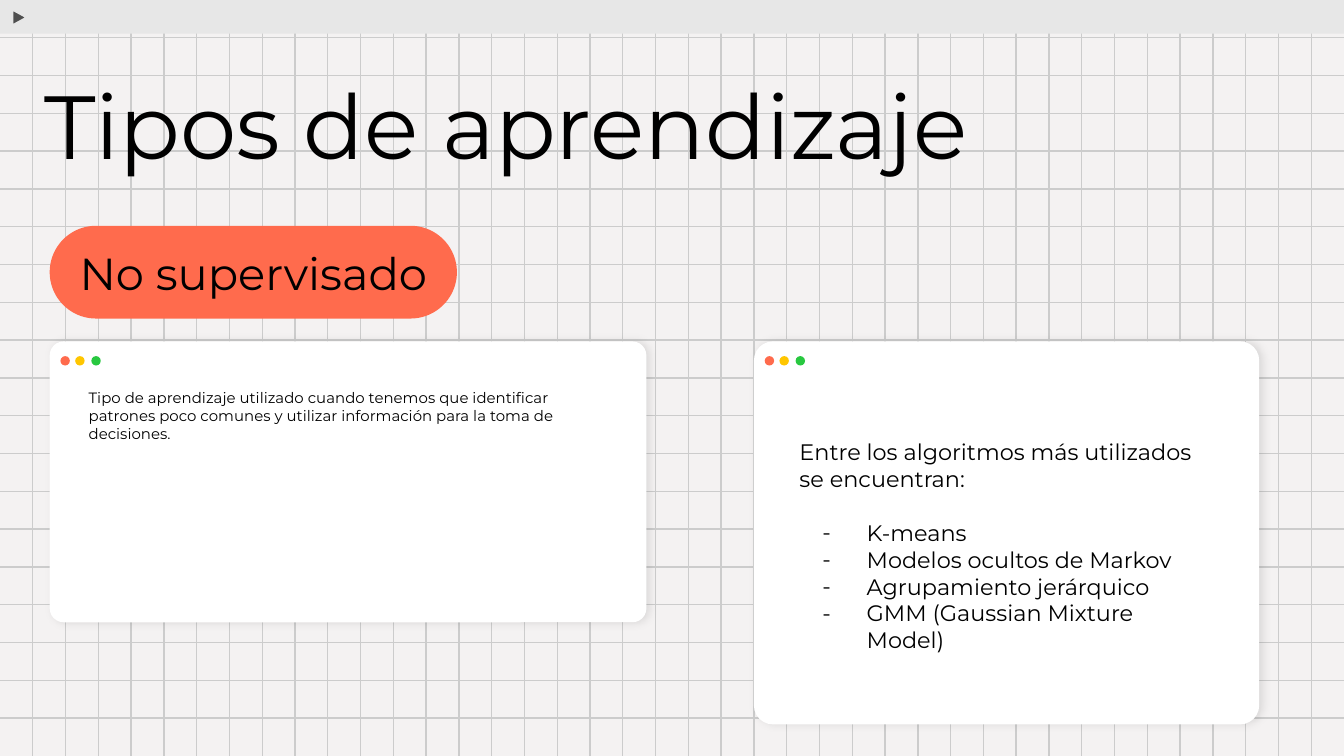
from lxml.etree import SubElement
from pptx import Presentation
from pptx.dml.color import RGBColor
from pptx.enum.shapes import MSO_CONNECTOR, MSO_SHAPE
from pptx.enum.text import MSO_ANCHOR, MSO_AUTO_SIZE, PP_ALIGN
from pptx.oxml import parse_xml
from pptx.oxml.ns import nsdecls, qn
from pptx.util import Inches, Pt

PAPER = RGBColor(0xF4, 0xF2, 0xF2)
GRID = RGBColor(0xCC, 0xCC, 0xCC)
BAR = RGBColor(0xE7, 0xE7, 0xE7)
ARROW = RGBColor(0x4F, 0x4F, 0x4F)
WHITE = RGBColor(0xFF, 0xFF, 0xFF)
BLACK = RGBColor(0x00, 0x00, 0x00)
CORAL = RGBColor(0xFF, 0x6B, 0x4D)
YELLOW = RGBColor(0xFF, 0xC6, 0x00)
GREEN = RGBColor(0x28, 0xC8, 0x40)
FONT = "Montserrat"
WIDTH = 10
HEIGHT = WIDTH * 9 / 16
COLUMNS, ROWS = 41, 20
SOFT_SHADOW = (
    f'<a:effectLst {nsdecls("a")}><a:outerShdw blurRad="57150" dist="19050" dir="0" '
    'algn="bl" rotWithShape="0"><a:srgbClr val="000000"><a:alpha val="10000"/>'
    '</a:srgbClr></a:outerShdw></a:effectLst>'
)

prs = Presentation()
prs.slide_width, prs.slide_height = Inches(WIDTH), Inches(HEIGHT)
slide = prs.slides.add_slide(prs.slide_layouts[0])
slide.background.fill.solid()
slide.background.fill.fore_color.rgb = PAPER
shapes = slide.shapes


def add_filled(kind, left, top, width, height, color):
    shape = shapes.add_shape(kind, Inches(left), Inches(top), Inches(width), Inches(height))
    shape.shadow.inherit = False
    shape.fill.solid()
    shape.fill.fore_color.rgb = color
    shape.line.fill.background()
    return shape


def write(paragraph, text, size, align=PP_ALIGN.LEFT):
    paragraph.alignment = align
    paragraph.space_before = Pt(0)
    run = paragraph.add_run()
    run.text = text
    run.font.name = FONT
    run.font.size = Pt(size)
    run.font.color.rgb = BLACK


rows = [(0, HEIGHT * i / ROWS, WIDTH, HEIGHT * i / ROWS) for i in range(1, ROWS)]
columns = [(WIDTH * i / COLUMNS, 0, WIDTH * i / COLUMNS, HEIGHT) for i in range(1, COLUMNS)]
for ends in rows + columns:
    grid_line = shapes.add_connector(MSO_CONNECTOR.STRAIGHT, *map(Inches, ends))
    grid_line.line.color.rgb = GRID
    grid_line.line.width = Pt(0.75)
    SubElement(grid_line.element.spPr, qn("a:effectLst"))

add_filled(MSO_SHAPE.RECTANGLE, 0, 0, WIDTH, 0.25, BAR)
play = add_filled(MSO_SHAPE.ISOSCELES_TRIANGLE, 0.09, 0.08, 0.11, 0.1, ARROW)
play.rotation = 90
play.line.color.rgb = BAR
play.line.width = Pt(0.75)

for left, width, height in [(5.61, 3.76, 2.85), (0.37, 4.44, 2.09)]:
    window = add_filled(MSO_SHAPE.ROUNDED_RECTANGLE, left, 2.54, width, height, WHITE)
    window.adjustments[0] = 0.05
    properties = window.element.spPr
    properties.replace(properties.find(qn("a:effectLst")), parse_xml(SOFT_SHADOW))
    for offset, color in [(0.08, CORAL), (0.19, YELLOW), (0.31, GREEN)]:
        add_filled(MSO_SHAPE.OVAL, left + offset, 2.65, 0.07, 0.07, color)

category = add_filled(MSO_SHAPE.ROUNDED_RECTANGLE, 0.37, 1.68, 3.03, 0.69, CORAL)
category.adjustments[0] = 0.5
category.text_frame.vertical_anchor = MSO_ANCHOR.MIDDLE
write(category.text_frame.paragraphs[0], "No supervisado", 24, PP_ALIGN.CENTER)

definition = slide.placeholders[1]
title = shapes.title
algorithms = shapes.add_textbox(0, 0, 0, 0)
for box, bounds in [
    (definition, (0.56, 2.79, 4.09, 1.01)),
    (title, (0.23, 0.51, 8.03, 0.93)),
    (algorithms, (5.85, 3.16, 3.28, 1.62)),
]:
    box.left, box.top, box.width, box.height = map(Inches, bounds)
    box.element.getparent().append(box.element)
    frame = box.text_frame
    frame.word_wrap = True
    frame.auto_size = MSO_AUTO_SIZE.NONE
    frame.vertical_anchor = MSO_ANCHOR.TOP
    frame.margin_left = frame.margin_right = Inches(0.1)
    frame.margin_top = frame.margin_bottom = Inches(0.1)

write(
    definition.text_frame.paragraphs[0],
    "Tipo de aprendizaje utilizado cuando tenemos que identificar patrones poco comunes "
    "y utilizar información para la toma de decisiones.",
    8,
)
heading = title.text_frame.paragraphs[0]
heading.line_spacing = 0.9
write(heading, "Tipos de aprendizaje", 48)

intro = algorithms.text_frame.paragraphs[0]
write(intro, "Entre los algoritmos más utilizados se encuentran:", 12)
intro.space_after = Pt(14.5)
for name in [
    "K-means",
    "Modelos ocultos de Markov",
    "Agrupamiento jerárquico",
    "GMM (Gaussian Mixture Model)",
]:
    item = algorithms.text_frame.add_paragraph()
    write(item, name, 12)
    indents = item._p.get_or_add_pPr()
    indents.set("marL", str(Inches(0.5)))
    indents.set("indent", str(Inches(-0.33)))
    SubElement(indents, qn("a:buFont"), typeface=FONT)
    SubElement(indents, qn("a:buChar"), char="-")

prs.save("out.pptx")
